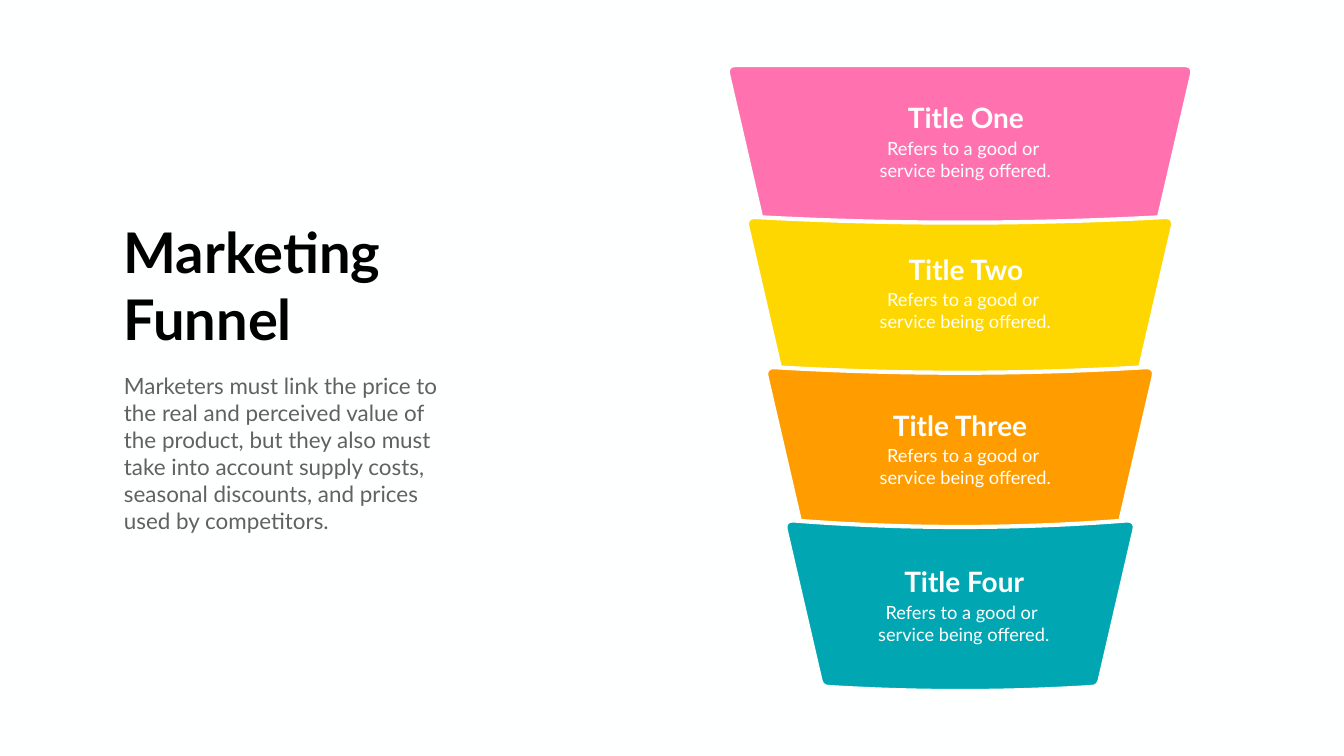
"""Build a marketing funnel slide with four tapering bands."""
from dataclasses import dataclass

from lxml.etree import SubElement
from pptx import Presentation
from pptx.dml.color import RGBColor
from pptx.enum.text import MSO_ANCHOR, PP_ALIGN
from pptx.oxml.ns import qn
from pptx.util import Pt


@dataclass(frozen=True)
class Theme:
    font: str = "Lato"
    background: str = "FEFFFF"
    heading: str = "000000"
    body: str = "616161"
    label: str = "FFFFFF"
    heading_size: int = 80
    body_size: int = 32
    label_size: int = 40
    note_size: int = 26
    gap_width: int = 6


THEME = Theme()
HEADING = "Marketing Funnel"
INTRO = (
    "Marketers must link the price to the real and perceived value of the product, "
    "but they also must take into account supply costs, seasonal discounts, "
    "and prices used by competitors."
)
NOTE = ["Refers to a good or ", "service being offered."]
BANDS = [
    dict(title="Title One", fill="FF72AF", top=92.9, bottom=331.9, sags=(0, 0),
         text_top=140.4, title_x=1379.5, note_x=1378.8),
    dict(title="Title Two", fill="FED600", top=310, bottom=547.9, sags=(8, 0),
         text_top=357.1, title_x=1379.5, note_x=1378.8),
    dict(title="Title Three", fill="FF9D00", top=524.5, bottom=762.5, sags=(8, 0),
         text_top=579.6, title_x=1371.2, note_x=1378.8),
    dict(title="Title Four", fill="00A7B3", top=743.4, bottom=981.4, sags=(9.4, 5.8),
         text_top=803.5, title_x=1377, note_x=1376.6),
]
CENTRE, HALF_WIDTH, HALF_STEP, SLOPE = 1371.2, 334.4, 27.4, 0.231
TOP_RADIUS, BOTTOM_RADIUS, ROUNDING = 13, 9, 0.6
LABEL_WIDTH, LABEL_HEIGHT, NOTE_OFFSET, NOTE_HEIGHT = 263.5, 55.4, 51.9, 70.6


def rgb(value):
    return RGBColor.from_string(value)


def toward(a, b, share):
    return tuple(m + (n - m) * share for m, n in zip(a, b))


def corner(start, tip, end):
    """Return the curve that rounds a corner."""
    return [toward(start, tip, ROUNDING), toward(end, tip, ROUNDING), end]


def edge(start, end, sag):
    """Return a straight edge, or a curve that sags in the middle."""
    if not sag:
        return [end]
    controls = [toward(start, end, share) for share in (1 / 3, 2 / 3)]
    return [(x, y + sag * 4 / 3) for x, y in controls] + [end]


def band_outline(index, band):
    """Return the start point and the segments of one band, clockwise."""
    top, bottom = band["top"], band["bottom"]
    half = HALF_WIDTH - HALF_STEP * index

    def side(sign, y, inset=0):
        return CENTRE + sign * (half - SLOPE * (y - top) - inset), y

    def ends(y, inset=0):
        return side(-1, y, inset), side(1, y, inset)

    high_left, high_right = ends(top + TOP_RADIUS)
    low_left, low_right = ends(bottom - BOTTOM_RADIUS)
    top_left, top_right = ends(top, TOP_RADIUS)
    bottom_left, bottom_right = ends(bottom, BOTTOM_RADIUS)
    return high_left, [
        corner(high_left, side(-1, top), top_left),
        edge(top_left, top_right, band["sags"][0]),
        corner(top_right, side(1, top), high_right),
        [low_right],
        corner(low_right, side(1, bottom), bottom_right),
        edge(bottom_right, bottom_left, band["sags"][1]),
        corner(bottom_left, side(-1, bottom), low_left),
    ]


def bend(sp, segments):
    """Join the line steps of each three-point segment into one curve."""
    steps = iter(sp.element.xpath(".//a:lnTo"))
    for segment in segments:
        lines = [next(steps) for _ in segment]
        if len(lines) == 3:
            parent = lines[0].getparent()
            curve = SubElement(parent, qn("a:cubicBezTo"))
            parent.replace(lines[0], curve)
            for line in lines:
                curve.append(line[0])
            for line in lines[1:]:
                parent.remove(line)


def add_band(slide, index, band):
    start, segments = band_outline(index, band)
    builder = slide.shapes.build_freeform(*map(Pt, start))
    points = [(Pt(x), Pt(y)) for segment in segments for x, y in segment]
    builder.add_line_segments(points, close=True)
    sp = builder.convert_to_shape()
    bend(sp, segments)
    sp.shadow.inherit = False
    sp.fill.solid()
    sp.fill.fore_color.rgb = rgb(band["fill"])
    sp.line.color.rgb = rgb(THEME.background)
    sp.line.width = Pt(THEME.gap_width)


def write(sp, lines, size, color, bold=False, align=PP_ALIGN.LEFT, wrap=True):
    tf = sp.text_frame
    tf.word_wrap = wrap
    tf.vertical_anchor = MSO_ANCHOR.TOP
    tf.text = "\n".join(lines)
    for p in tf.paragraphs:
        p.alignment = align
        p.font.name, p.font.size, p.font.bold = THEME.font, Pt(size), bold
        p.font.color.rgb = rgb(color)


def add_text(slide, box, *args, **kwargs):
    write(slide.shapes.add_textbox(*map(Pt, box)), *args, **kwargs)


def add_label(slide, x, y, height, lines, size, bold=False):
    add_text(slide, (x - LABEL_WIDTH / 2, y, LABEL_WIDTH, height), lines, size,
             THEME.label, bold, PP_ALIGN.CENTER, wrap=False)


def main():
    prs = Presentation()
    prs.slide_width, prs.slide_height = Pt(1919.5), Pt(1080)
    slide = prs.slides.add_slide(prs.slide_layouts[5])
    slide.background.fill.solid()
    slide.background.fill.fore_color.rgb = rgb(THEME.background)

    title = slide.shapes.title
    title.left, title.top, title.width, title.height = map(Pt, (169.2, 306.7, 401, 200.9))
    write(title, [HEADING], THEME.heading_size, THEME.heading, bold=True)
    add_text(slide, (169.9, 528.5, 477.4, 239.8), [INTRO], THEME.body_size, THEME.body)

    for index, band in enumerate(BANDS):
        add_band(slide, index, band)
    for band in BANDS:
        y = band["text_top"]
        add_label(slide, band["note_x"], y + NOTE_OFFSET, NOTE_HEIGHT, NOTE, THEME.note_size)
        add_label(slide, band["title_x"], y, LABEL_HEIGHT, [band["title"]],
                  THEME.label_size, bold=True)
    prs.save("out.pptx")


if __name__ == "__main__":
    main()
